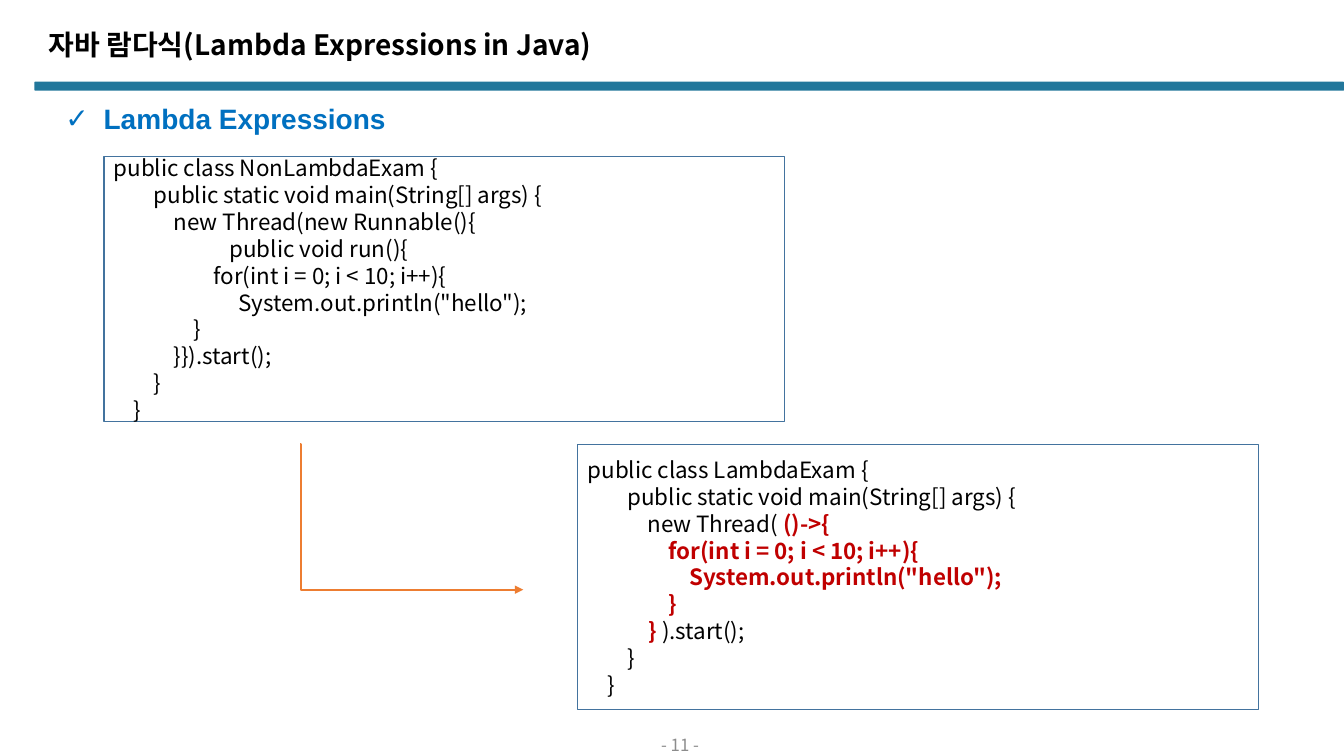
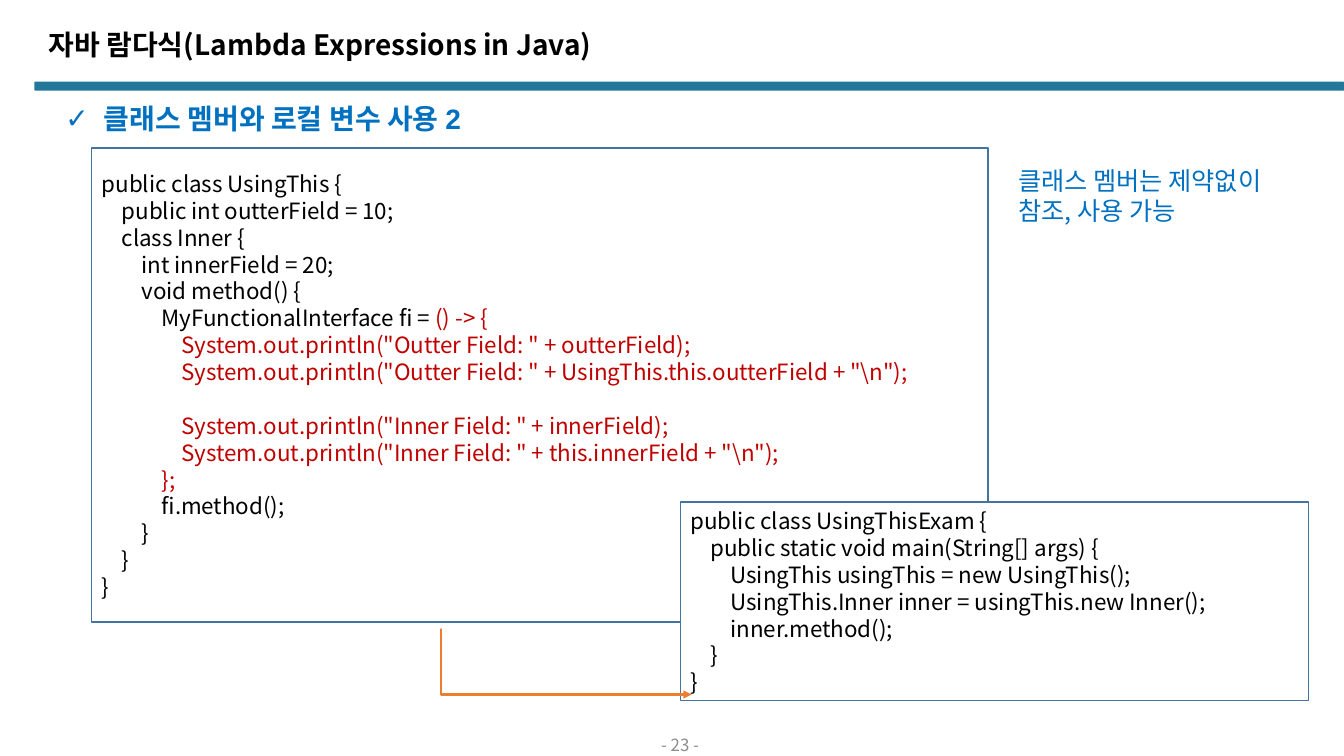
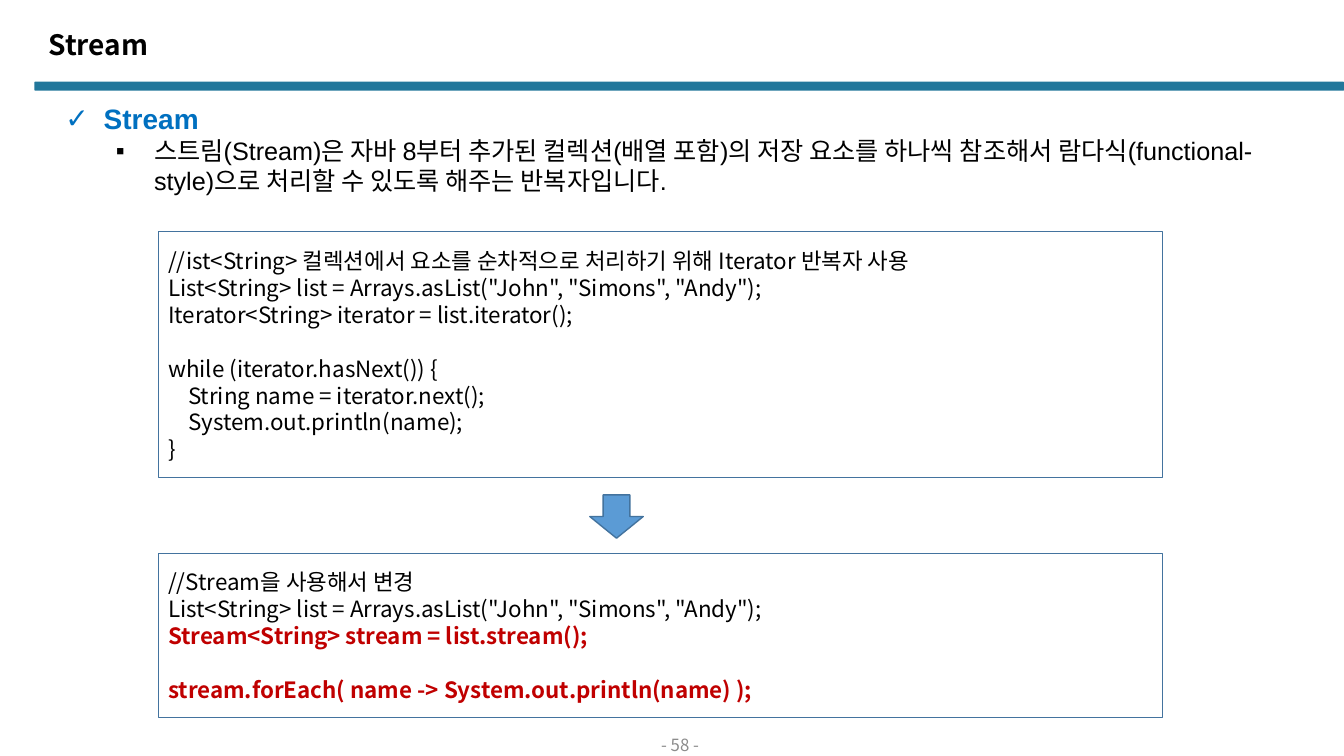
from dataclasses import dataclass

from lxml.etree import SubElement
from pptx import Presentation
from pptx.dml.color import RGBColor
from pptx.enum.shapes import MSO_CONNECTOR, MSO_SHAPE
from pptx.enum.text import MSO_ANCHOR, MSO_AUTO_SIZE, PP_ALIGN
from pptx.oxml.ns import qn
from pptx.util import Inches, Pt


@dataclass(frozen=True)
class Theme:
    sans: str = "Noto Sans CJK KR"
    latin: str = "Arial"
    black: str = "000000"
    white: str = "FFFFFF"
    band: str = "22779B"
    blue: str = "0070C0"
    red: str = "C00000"
    gray: str = "8C8C8C"
    edge: str = "43739E"
    arrow: str = "5B9BD5"
    link: str = "ED7D31"
    head: int = 20
    body: int = 18
    code: int = 16
    foot: int = 12
    pitch: float = 1.2


THEME = Theme()
MARK = "§"
LAMBDA = "자바 람다식(Lambda Expressions in Java)"

ANON = """public class NonLambdaExam {
        public static void main(String[] args) {
            new Thread(new Runnable(){
\t   public void run(){
                    for(int i = 0; i < 10; i++){
                         System.out.println("hello");
                }
            }}).start();
        }
    }"""

SHORT = """public class LambdaExam {
        public static void main(String[] args) {
            new Thread( §()->{
                for(int i = 0; i < 10; i++){
                    System.out.println("hello");
                }
            } §).start();
        }
    }"""

INNER = r"""public class UsingThis {
    public int outterField = 10;
    class Inner {
        int innerField = 20;
        void method() {
            MyFunctionalInterface fi = §() -> {
                System.out.println("Outter Field: " + outterField);
                System.out.println("Outter Field: " + UsingThis.this.outterField + "\n");
 
                System.out.println("Inner Field: " + innerField);
                System.out.println("Inner Field: " + this.innerField + "\n");
            };
§            fi.method();
        }
    }
}"""

USAGE = """public class UsingThisExam {
    public static void main(String[] args) {
        UsingThis usingThis = new UsingThis();
        UsingThis.Inner inner = usingThis.new Inner();
        inner.method();
    }
}"""

LOOP = """//ist<String> 컬렉션에서 요소를 순차적으로 처리하기 위해 Iterator 반복자 사용
List<String> list = Arrays.asList("John", "Simons", "Andy");
Iterator<String> iterator = list.iterator();
 
while (iterator.hasNext()) {
    String name = iterator.next();
    System.out.println(name);
}"""

STREAM = """//Stream을 사용해서 변경
List<String> list = Arrays.asList("John", "Simons", "Andy");
§Stream<String> stream = list.stream();
 
stream.forEach( name -> System.out.println(name) );"""

ABOUT = (
    "스트림(Stream)은 자바 8부터 추가된 컬렉션(배열 포함)의 저장 요소를 하나씩 참조해서 "
    "람다식(functional-style)으로 처리할 수 있도록 해주는 반복자입니다."
)


def tint(name):
    return RGBColor.from_string(name)


def area(*sides):
    return [Inches(side) for side in sides]


def put(frame, text, size=THEME.code, color=THEME.black, face=THEME.sans,
        bold=False, strong=False, align=PP_ALIGN.LEFT, bullet=None,
        indent=0, pitch=THEME.pitch):
    hot = False
    for line in text.split("\n"):
        para = frame.paragraphs[0]
        if para.runs:
            para = frame.add_paragraph()
        props = para._p.get_or_add_pPr()
        if bullet:
            props.set("marL", str(Inches(indent)))
            props.set("indent", str(Inches(-0.38)))
            SubElement(props, qn("a:buFont")).set("typeface", THEME.latin)
            SubElement(props, qn("a:buChar")).set("char", bullet)
        if "\t" in line:
            tabs = SubElement(props, qn("a:tabLst"))
            stop = SubElement(tabs, qn("a:tab"))
            stop.set("pos", str(Inches(1)))
            stop.set("algn", "l")
        para.alignment = align
        para.line_spacing = Pt(round(size * pitch, 1))
        for index, part in enumerate(line.split(MARK)):
            if index:
                hot = not hot
            if part:
                run = para.add_run()
                run.text = part
                font = run.font
                font.size = Pt(size)
                font.bold = strong if hot else bold
                font.color.rgb = tint(THEME.red if hot else color)
                font.name = face
                east = SubElement(run._r.get_or_add_rPr(), qn("a:ea"))
                east.set("typeface", THEME.sans)


def block(slide, kind, box, fill, line=None):
    shape = slide.shapes.add_shape(kind, *area(*box))
    shape.shadow.inherit = False
    shape.fill.solid()
    shape.fill.fore_color.rgb = tint(fill)
    if line:
        shape.line.color.rgb = tint(line)
        shape.line.width = Pt(1)
    else:
        shape.line.fill.background()
    return shape


def label(slide, box, anchor=MSO_ANCHOR.TOP):
    frame = slide.shapes.add_textbox(*area(*box)).text_frame
    frame.word_wrap = True
    frame.vertical_anchor = anchor
    return frame


def panel(slide, box, text, strong=False):
    shape = block(slide, MSO_SHAPE.RECTANGLE, box, THEME.white, THEME.edge)
    shape.text_frame.vertical_anchor = MSO_ANCHOR.MIDDLE
    put(shape.text_frame, text, strong=strong)


def elbow(slide, start, end):
    link = slide.shapes.add_connector(MSO_CONNECTOR.ELBOW, *area(*start, *end))
    link.line.color.rgb = tint(THEME.link)
    link.line.width = Pt(1.5)
    props = link.element.spPr
    guide = SubElement(props.find(qn("a:prstGeom")).find(qn("a:avLst")), qn("a:gd"))
    guide.set("name", "adj1")
    guide.set("fmla", "val 200")
    SubElement(props.find(qn("a:ln")), qn("a:tailEnd")).set("type", "triangle")
    SubElement(props, qn("a:effectLst"))


def topic(slide, text, detail=None):
    frame = label(slide, (0.55, 0.96, 12.44, 1.04 if detail else 0.44))
    put(frame, text, size=THEME.head, color=THEME.blue, face=THEME.latin,
        bold=True, bullet="✓", indent=0.38)
    if detail:
        put(frame, detail, size=THEME.body, face=THEME.latin,
            bullet="▪", indent=0.88)


def brand(slide, layout):
    band = block(slide, MSO_SHAPE.ROUNDED_RECTANGLE,
                 (0.34, 0.81, 12.99, 0.09), THEME.band)
    band.adjustments[0] = 0.13
    layout.shapes.element.append(band.element)


def page(deck, layout, title, number):
    slide = deck.slides.add_slide(layout)
    head = slide.shapes.title
    head.left, head.top, head.width, head.height = area(0.38, 0.25, 12, 0.47)
    frame = head.text_frame
    frame.auto_size = MSO_AUTO_SIZE.NONE
    frame.vertical_anchor = MSO_ANCHOR.TOP
    put(frame, title, size=THEME.head, bold=True, pitch=1.1)
    foot = label(slide, (5.19, 7.27, 3.11, 0.23), MSO_ANCHOR.MIDDLE)
    put(foot, f"- {number} -", size=THEME.foot, color=THEME.gray,
        align=PP_ALIGN.CENTER)
    return slide


def main():
    deck = Presentation()
    deck.slide_width, deck.slide_height = area(13.33, 7.5)
    layout = deck.slide_layouts[5]

    slide = page(deck, layout, LAMBDA, 11)
    brand(slide, layout)
    topic(slide, "Lambda Expressions")
    panel(slide, (1.03, 1.55, 6.75, 2.63), ANON)
    panel(slide, (5.73, 4.41, 6.75, 2.63), SHORT, strong=True)
    elbow(slide, (2.98, 4.41), (5.19, 5.85))

    slide = page(deck, layout, LAMBDA, 23)
    topic(slide, "클래스 멤버와 로컬 변수 사용 2")
    panel(slide, (0.91, 1.47, 8.89, 4.7), INNER)
    panel(slide, (6.75, 4.98, 6.23, 1.97), USAGE)
    elbow(slide, (4.37, 6.24), (6.86, 6.89))
    put(label(slide, (10, 1.59, 2.68, 0.71)),
        "클래스 멤버는 제약없이 참조, 사용 가능",
        size=THEME.body, color=THEME.blue)

    slide = page(deck, layout, "Stream", 58)
    topic(slide, "Stream", ABOUT)
    panel(slide, (1.57, 2.3, 9.96, 2.44), LOOP)
    panel(slide, (1.57, 5.49, 9.96, 1.63), STREAM, strong=True)
    block(slide, MSO_SHAPE.DOWN_ARROW, (5.85, 4.91, 0.53, 0.43),
          THEME.arrow, THEME.edge)

    deck.save("out.pptx")


if __name__ == "__main__":
    main()
